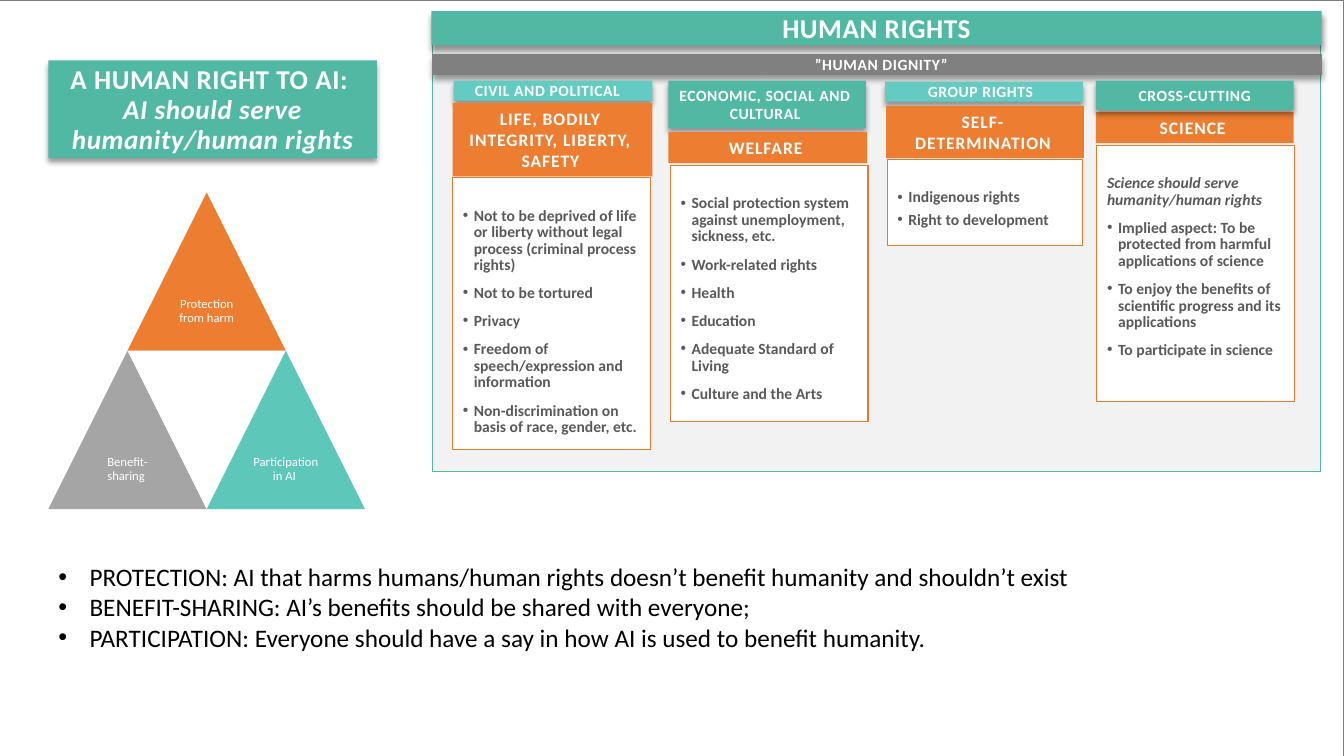
from lxml.etree import SubElement
from pptx import Presentation
from pptx.dml.color import RGBColor
from pptx.enum.shapes import MSO_SHAPE as SHAPE
from pptx.enum.text import MSO_ANCHOR as ANCHOR, PP_ALIGN as ALIGN
from pptx.oxml.ns import qn
from pptx.util import Inches, Pt

WHITE = RGBColor(0xFF, 0xFF, 0xFF)
BLACK = RGBColor(0x00, 0x00, 0x00)
PANEL = RGBColor(0xF2, 0xF2, 0xF2)
TEAL = RGBColor(0x51, 0xB9, 0xA3)
AQUA = RGBColor(0x63, 0xCB, 0xC1)
MINT = RGBColor(0x5D, 0xC7, 0xB9)
ORANGE = RGBColor(0xED, 0x7D, 0x31)
RUST = RGBColor(0xE7, 0x79, 0x2B)
GREY = RGBColor(0x80, 0x80, 0x80)
EDGE = RGBColor(0x7F, 0x7F, 0x7F)
SILVER = RGBColor(0xA5, 0xA5, 0xA5)
INK = RGBColor(0x59, 0x59, 0x59)

BANNER = (0.05, 0.04, 0.05, 0.03)
HEAD = (0.1, 0.05, 0.14, 0.05)
SLIM = (0.07, 0.03, 0.14, 0.03)
CROSS = (0.14, 0.05, 0.14, 0.05)
CARD = (0.05, 0.3, 0.08, 0.03)


class Deck:
    """Draws the elements of the slide in one shared style."""

    font = "Calibri"

    def __init__(self, slide):
        self.shapes = slide.shapes

    def shape(self, at, fill=None, line=None, weight=0.75, shadow=False,
              kind=SHAPE.RECTANGLE):
        sp = self.shapes.add_shape(kind, *map(Inches, at))
        sp.shadow.inherit = False
        if fill is None:
            sp.fill.background()
        else:
            sp.fill.solid()
            sp.fill.fore_color.rgb = fill
        if line is None:
            sp.line.fill.background()
        else:
            sp.line.color.rgb = line
            sp.line.width = Pt(weight)
        if shadow:
            effects = sp._element.spPr.find(qn("a:effectLst"))
            outer = SubElement(effects, qn("a:outerShdw"), blurRad=str(Pt(4)),
                               dist=str(Pt(3)), dir="5400000", rotWithShape="0")
            tone = SubElement(outer, qn("a:srgbClr"), val="000000")
            SubElement(tone, qn("a:alpha"), val="40000")
        return sp

    def label(self, sp, lines, size, color=WHITE, bold=True, spc=0, inset=None,
              align=ALIGN.CENTER, anchor=ANCHOR.MIDDLE, wrap=True,
              leading=None, before=None, after=None):
        tf = sp.text_frame
        tf.word_wrap = wrap
        tf.vertical_anchor = anchor
        if inset:
            (tf.margin_left, tf.margin_top,
             tf.margin_right, tf.margin_bottom) = map(Inches, inset)
        tf.text = "\n".join(lines)
        for p in tf.paragraphs:
            p.alignment = align
            p.line_spacing = leading
            p.space_before = before
            p.space_after = after
            for r in p.runs:
                r.font.name = self.font
                r.font.size = Pt(size)
                r.font.bold = bold
                r.font.color.rgb = color
                if spc:
                    r._r.get_or_add_rPr().set("spc", str(spc))
        return tf.paragraphs

    def bullet(self, p, left, hang):
        pPr = p._p.get_or_add_pPr()
        pPr.set("marL", str(Inches(left)))
        pPr.set("indent", str(Inches(-hang)))
        SubElement(pPr, qn("a:buFont"), typeface="Arial")
        SubElement(pPr, qn("a:buChar"), char="•")

    def banner(self, at, lines):
        return self.label(self.shape(at, TEAL, shadow=True), lines, 19.4,
                          spc=40, inset=BANNER, leading=Pt(21.5))

    def category(self, at, name, fill, inset):
        self.label(self.shape(at, fill, shadow=True), [name], 11.1,
                   spc=40, inset=inset)

    def heading(self, at, name):
        self.label(self.shape(at, ORANGE), [name], 12.5, spc=70, inset=HEAD)

    def card(self, at, items, before=8.3, lead=None):
        lines = [lead] + items if lead else items
        ps = self.label(self.shape(at, WHITE, RUST), lines, 11.1, INK,
                        inset=CARD, align=ALIGN.LEFT, anchor=ANCHOR.TOP,
                        leading=Pt(11.8), before=Pt(before))
        for i, p in enumerate(ps):
            if lead and i == 0:
                p._p.get_or_add_pPr().set("marL", str(Inches(0.05)))
                p.runs[0].font.italic = True
            else:
                self.bullet(p, 0.16, 0.11)

    def textbox(self, at, lines, size, color, **style):
        sp = self.shapes.add_textbox(*map(Inches, at))
        return self.label(sp, lines, size, color, bold=False, **style)

    def triangle(self, left, top, side, fill, name=None):
        sp = self.shape((left, top, side, side), fill,
                        kind=SHAPE.ISOSCELES_TRIANGLE)
        if name:
            half = side / 2
            self.textbox((left + half / 2, top + half, half, half), [name], 9,
                         WHITE, inset=(0.04,) * 4, leading=0.9, after=Pt(3.15))
        return sp


def main():
    prs = Presentation()
    prs.slide_width, prs.slide_height = Inches(13.33), Inches(7.5)
    d = Deck(prs.slides.add_slide(prs.slide_layouts[6]))

    d.shape((0, 0.01, 13.33, 7.5), line=EDGE)
    d.shape((4.29, 0.44, 8.81, 4.24), PANEL, TEAL, 1)
    title = d.banner((0.48, 0.6, 3.26, 0.97),
                     ["A HUMAN RIGHT TO AI: ",
                      "AI should serve humanity/human rights"])
    title[1].runs[0].font.italic = True
    d.banner((4.28, 0.11, 8.83, 0.34), ["HUMAN RIGHTS"])
    dignity = d.shape((4.29, 0.54, 8.82, 0.2), GREY, EDGE, shadow=True)
    d.label(dignity, ["”HUMAN DIGNITY”"], 11.1, spc=40,
            inset=(0.63, 0.04, 0.55, 0.04), after=Pt(4.2))

    d.card((4.49, 1.76, 1.96, 2.7), [
        "Not to be deprived of life or liberty without legal process "
        "(criminal process rights)",
        "Not to be tortured",
        "Privacy",
        "Freedom of speech/expression and information",
        "Non-discrimination on basis of race, gender, etc."])
    d.card((6.65, 1.64, 1.96, 2.54), [
        "Social protection system against unemployment, sickness, etc.",
        "Work-related rights",
        "Health",
        "Education",
        "Adequate Standard of Living",
        "Culture and the Arts"])
    d.card((8.8, 1.58, 1.94, 0.86),
           ["Indigenous rights", "Right to development"], before=4.2)
    d.card((10.88, 1.44, 1.96, 2.54), [
        "Implied aspect: To be protected from harmful applications of science",
        "To enjoy the benefits of scientific progress and its applications",
        "To participate in science"],
        lead="Science should serve humanity/human rights")

    d.category((4.5, 0.8, 1.97, 0.2), "CIVIL AND POLITICAL ", AQUA, SLIM)
    d.category((6.63, 0.8, 1.96, 0.47), "ECONOMIC, SOCIAL AND CULTURAL",
               TEAL, HEAD)
    d.category((8.78, 0.81, 1.96, 0.2), "GROUP RIGHTS", AQUA, SLIM)
    d.heading((4.49, 1.02, 1.98, 0.73),
              "LIFE, BODILY INTEGRITY, LIBERTY, SAFETY")
    d.heading((6.63, 1.31, 1.97, 0.31), "WELFARE")
    d.heading((8.79, 1.05, 1.96, 0.52), "SELF-DETERMINATION")
    d.heading((10.87, 1.11, 1.96, 0.31), "SCIENCE")
    d.category((10.87, 0.8, 1.96, 0.29), "CROSS-CUTTING", TEAL, CROSS)

    left, top, side = 0.48, 1.91, 1.57
    middle, base = left + side / 2, top + side
    d.triangle(middle, top, side, ORANGE, "Protection from harm")
    d.triangle(left, base, side, SILVER, "Benefit-sharing ")
    d.triangle(middle, base, side, WHITE).rotation = 180
    d.triangle(left + side, base, side, MINT, "Participation in AI ")

    summary = d.textbox((0.48, 5.52, 10.34, 1.92), [
        "PROTECTION: AI that harms humans/human rights doesn’t benefit "
        "humanity and shouldn’t exist",
        "BENEFIT-SHARING: AI’s benefits should be shared with everyone;",
        "PARTICIPATION: Everyone should have a say in how AI is used to "
        "benefit humanity."],
        18, BLACK, align=ALIGN.LEFT, anchor=ANCHOR.TOP, wrap=False)
    for p in summary:
        d.bullet(p, 0.31, 0.31)

    prs.save("out.pptx")


if __name__ == "__main__":
    main()
